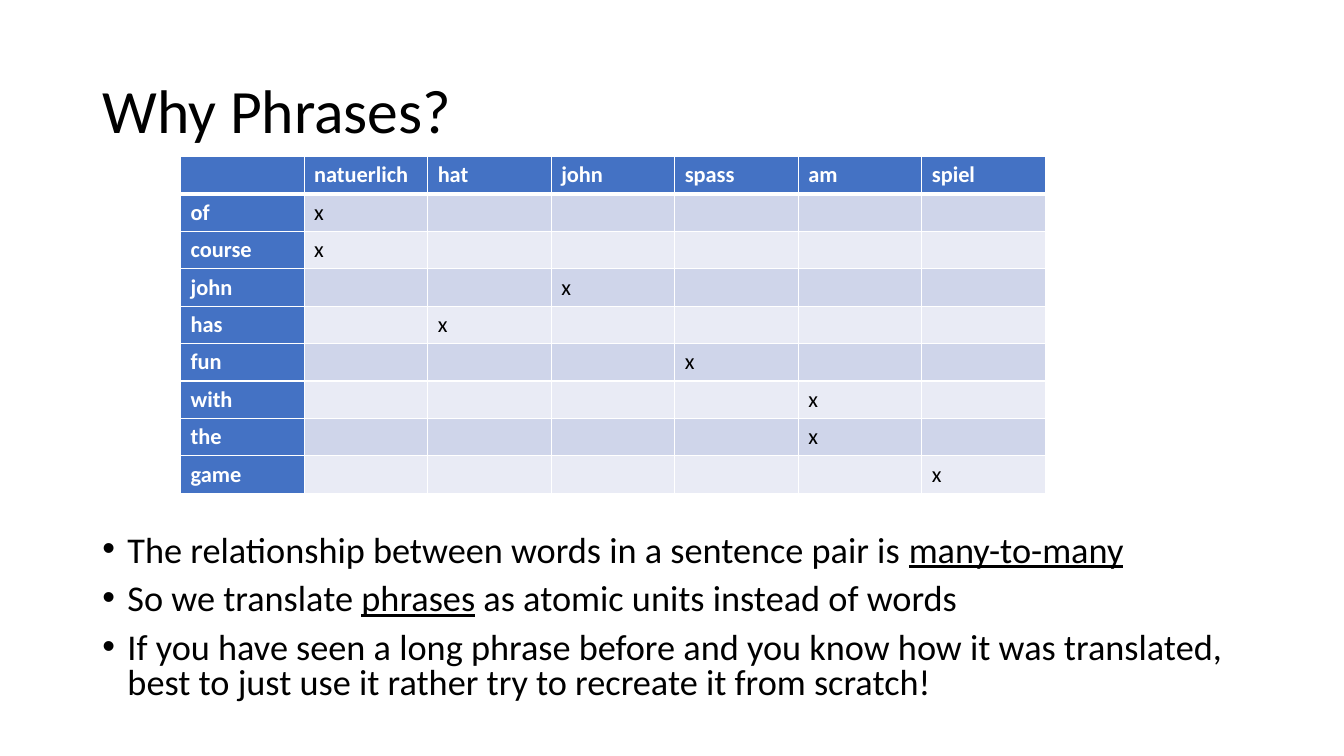
from dataclasses import dataclass

from lxml.etree import SubElement
from pptx import Presentation
from pptx.dml.color import RGBColor
from pptx.enum.text import MSO_ANCHOR
from pptx.oxml.ns import qn
from pptx.util import Pt


@dataclass(frozen=True)
class Theme:
    font: str = "Calibri"
    text: RGBColor = RGBColor(0, 0, 0)
    white: RGBColor = RGBColor(255, 255, 255)
    header: RGBColor = RGBColor(0x44, 0x72, 0xC4)
    dark_band: RGBColor = RGBColor(0xCF, 0xD5, 0xEA)
    light_band: RGBColor = RGBColor(0xE9, 0xEB, 0xF5)
    title_size: float = 44
    body_size: float = 25.9
    table_size: float = 16


theme = Theme()


def style_font(font, size, color, bold=False):
    font.name = theme.font
    font.size = Pt(size)
    font.color.rgb = color
    font.bold = bold


def add_borders(cell, widths):
    """Draw white borders; widths are in points, keyed by side letter."""
    properties = cell._tc.get_or_add_tcPr()
    for side, width in widths.items():
        line = SubElement(properties, qn(f"a:ln{side}"), w=str(Pt(width)))
        fill = SubElement(line, qn("a:solidFill"))
        SubElement(fill, qn("a:srgbClr"), val=str(theme.white))


presentation = Presentation()
presentation.slide_width = Pt(960)
presentation.slide_height = Pt(540)
slide = presentation.slides.add_slide(presentation.slide_layouts[6])

# Title
title = slide.shapes.add_textbox(Pt(66), Pt(28.75), Pt(828), Pt(104.4))
title.text_frame.word_wrap = True
title.text_frame.vertical_anchor = MSO_ANCHOR.MIDDLE
title.text_frame.text = "Why Phrases?"
paragraph = title.text_frame.paragraphs[0]
paragraph.line_spacing = 0.9
style_font(paragraph.runs[0].font, theme.title_size, theme.text)

# Bullets: text before, underlined text, text after
bullets = [
    ("The relationship between words in a sentence pair is ", "many-to-many", ""),
    ("So we translate ", "phrases", " as atomic units instead of words"),
    ("If you have seen a long phrase before and you know how it was translated, "
     "best to just use it rather try to recreate it from scratch!", "", ""),
]
body = slide.shapes.add_textbox(Pt(66), Pt(378.75), Pt(828), Pt(131))
body.text_frame.word_wrap = True
for index, parts in enumerate(bullets):
    paragraph = body.text_frame.paragraphs[0] if index == 0 else body.text_frame.add_paragraph()
    paragraph.line_spacing = 0.8
    if index > 0:
        paragraph.space_before = Pt(10)
    properties = paragraph._p.get_or_add_pPr()
    properties.set("marL", str(Pt(18)))
    properties.set("indent", str(Pt(-18)))
    SubElement(properties, qn("a:buFont"), typeface="Arial")
    SubElement(properties, qn("a:buChar"), char="•")
    for position, text in enumerate(parts):
        if text:
            run = paragraph.add_run()
            run.text = text
            style_font(run.font, theme.body_size, theme.text)
            run.font.underline = position == 1

# Word alignment table: each English word with its German partner
german_words = ["natuerlich", "hat", "john", "spass", "am", "spiel"]
alignment = [
    ("of", "natuerlich"), ("course", "natuerlich"), ("john", "john"), ("has", "hat"),
    ("fun", "spass"), ("with", "am"), ("the", "am"), ("game", "spiel"),
]
rows = [["", *german_words]]
for english, partner in alignment:
    rows.append([english, *("x" if german == partner else "" for german in german_words)])

column_width, row_height = 88.25, 26.75
table = slide.shapes.add_table(
    len(rows), len(rows[0]), Pt(129), Pt(111.75),
    Pt(column_width * len(rows[0])), Pt(row_height * len(rows))).table
for column in table.columns:
    column.width = Pt(column_width)
for row_index, row in enumerate(rows):
    table.rows[row_index].height = Pt(row_height)
    for column_index, text in enumerate(row):
        cell = table.cell(row_index, column_index)
        is_header = row_index == 0 or column_index == 0
        add_borders(cell, {"L": 1, "R": 1, "T": 3 if row_index == 1 else 1,
                           "B": 3 if row_index == 0 else 1})
        band = theme.dark_band if row_index % 2 else theme.light_band
        cell.fill.solid()
        cell.fill.fore_color.rgb = theme.header if is_header else band
        cell.text_frame.text = text
        paragraph = cell.text_frame.paragraphs[0]
        for run in paragraph.runs:
            style_font(run.font, theme.table_size,
                       theme.white if is_header else theme.text, is_header)
        # Empty cells take their line height from the end-of-paragraph size
        SubElement(paragraph._p, qn("a:endParaRPr"), sz=str(theme.table_size * 100))

presentation.save("out.pptx")
